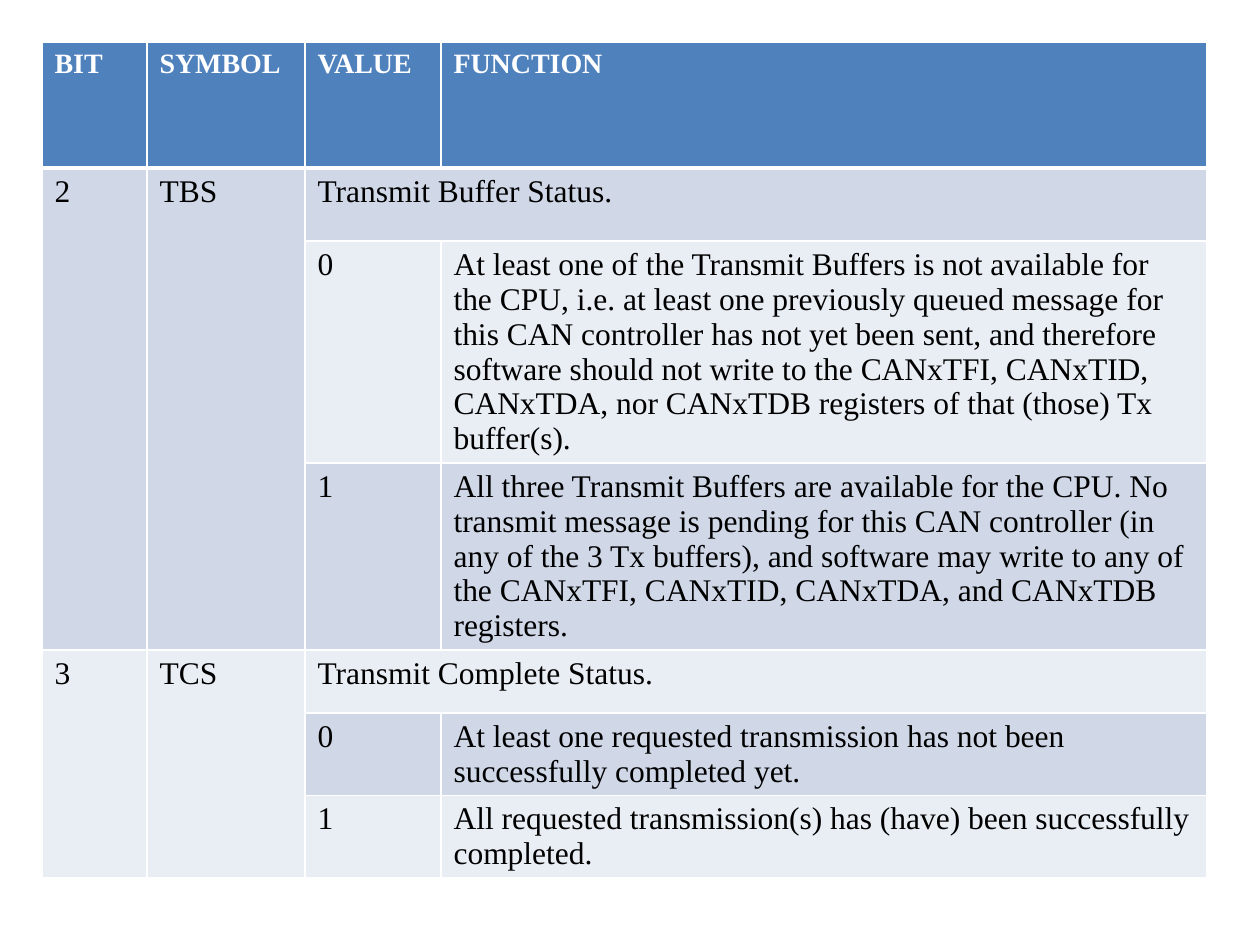
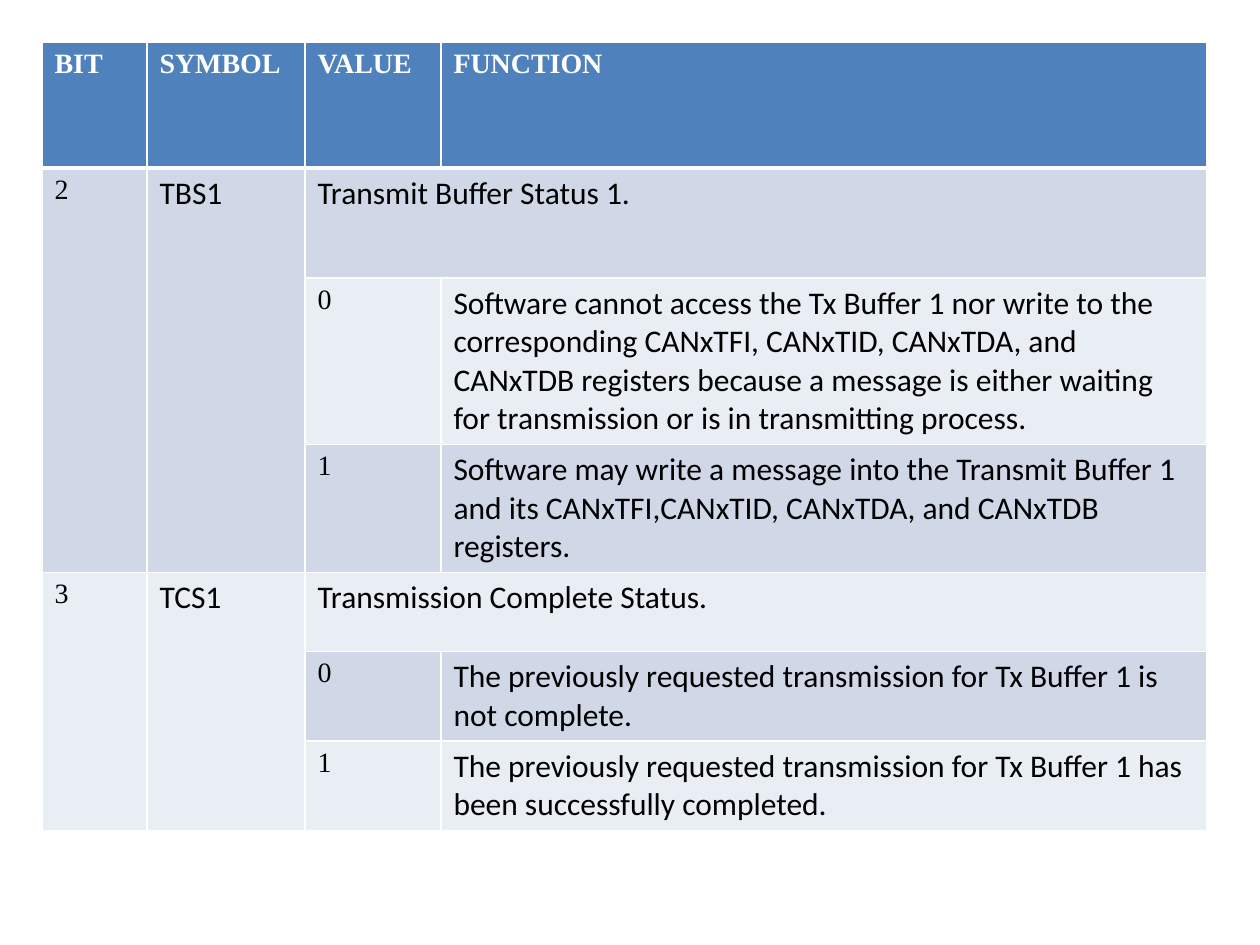
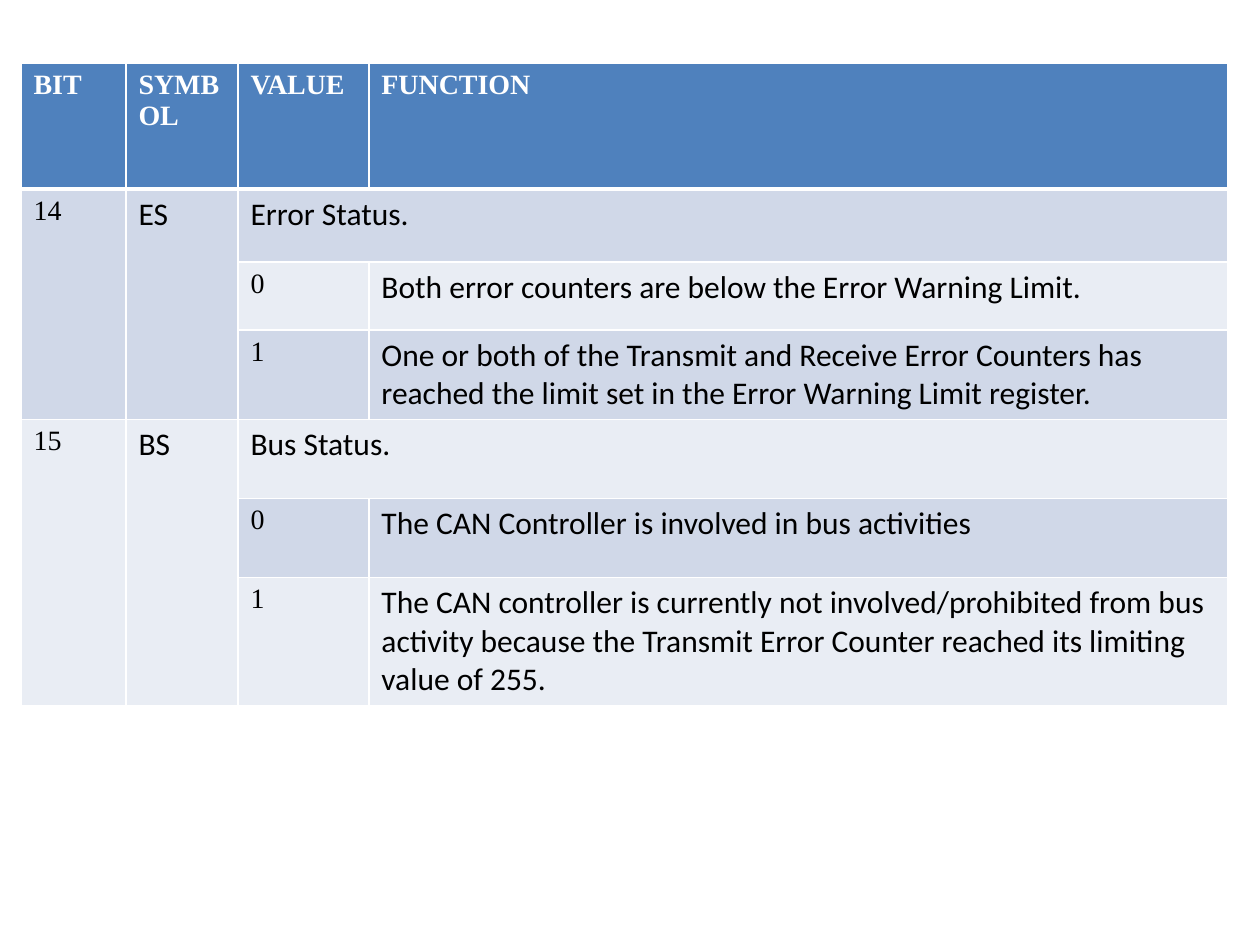
from lxml import etree
from pptx import Presentation
from pptx.dml.color import RGBColor
from pptx.oxml import ns
from pptx.util import Emu, Pt

PX = 914400 / 126

WHITE = RGBColor(0xFF, 0xFF, 0xFF)
BLACK = RGBColor(0x00, 0x00, 0x00)
HEADER_BLUE = RGBColor(0x4F, 0x81, 0xBD)
BAND_DARK = RGBColor(0xD0, 0xD8, 0xE8)
BAND_LIGHT = RGBColor(0xE9, 0xED, 0xF4)

SERIF = ("Times New Roman", 16)
SERIF_LARGE = ("Times New Roman", 18)
SANS = ("Calibri", 18)

HEADINGS = ["BIT", "SYMBOL", "VALUE", "FUNCTION"]
ROWS_PER_BIT = 3

# Each bit: number, symbol, description, function for value 0, function for value 1
TRANSMIT_BITS = [
    ("2", "TBS", "Transmit Buffer Status.",
     "At least one of the Transmit Buffers is not available for the CPU, i.e. at least "
     "one previously queued message for this CAN controller has not yet been sent, and "
     "therefore software should not write to the CANxTFI, CANxTID,\n"
     "CANxTDA, nor CANxTDB registers of that (those) Tx buffer(s).",
     "All three Transmit Buffers are available for the CPU. No transmit message is "
     "pending for this CAN controller (in any of the 3 Tx buffers), and software may "
     "write to any of the CANxTFI, CANxTID, CANxTDA, and CANxTDB registers."),
    ("3", "TCS", "Transmit Complete Status.",
     "At least one requested transmission has not been successfully completed yet.",
     "All requested transmission(s) has (have) been successfully completed."),
]
BUFFER_1_BITS = [
    ("2", "TBS1", "Transmit Buffer Status 1.",
     "Software cannot access the Tx Buffer 1 nor write to the corresponding CANxTFI, "
     "CANxTID, CANxTDA, and CANxTDB registers because a message is either waiting for "
     "transmission or is in transmitting process.",
     "Software may write a message into the Transmit Buffer 1 and its CANxTFI,CANxTID, "
     "CANxTDA, and CANxTDB registers."),
    ("3", "TCS1", "Transmission Complete Status.",
     "The previously requested transmission for Tx Buffer 1 is not complete.",
     "The previously requested transmission for Tx Buffer 1 has been successfully "
     "completed."),
]
ERROR_BITS = [
    ("14", "ES", "Error Status.",
     "Both error counters are below the Error Warning Limit.",
     "One or both of the Transmit and Receive Error Counters has reached the limit set "
     "in the Error Warning Limit register."),
    ("15", "BS", "Bus Status.",
     "The CAN Controller is involved in bus activities",
     "The CAN controller is currently not involved/prohibited from bus activity because "
     "the Transmit Error Counter reached its limiting value of 255."),
]


def px(n):
    return Emu(round(n * PX))


def write(cell, content, font, color=BLACK, bold=False):
    """Fill a cell with text, one paragraph a line."""
    tf = cell.text_frame
    for i, line in enumerate(content.split("\n")):
        p = tf.add_paragraph() if i else tf.paragraphs[0]
        r = p.add_run()
        r.text = line
        r.font.name, size = font
        r.font.size = Pt(size)
        r.font.bold = bold
        r.font.color.rgb = color


def set_borders(cell, widths):
    """Draw white borders; widths are points for left, right, top, bottom."""
    tc_pr = cell._tc.get_or_add_tcPr()
    for i, (side, width) in enumerate(zip("LRTB", widths)):
        ln = etree.Element(ns.qn(f"a:ln{side}"), w=str(Pt(width)))
        fill = etree.SubElement(ln, ns.qn("a:solidFill"))
        etree.SubElement(fill, ns.qn("a:srgbClr"), val=str(WHITE))
        tc_pr.insert(i, ln)


def style_grid(table):
    for i, row in enumerate(table.rows):
        for cell in row.cells:
            cell.fill.solid()
            cell.fill.fore_color.rgb = (
                HEADER_BLUE if i == 0 else BAND_DARK if i % 2 else BAND_LIGHT)
            set_borders(cell, (1, 1, 3 if i == 1 else 1, 3 if i == 0 else 1))


def write_bit(table, top, bit, number_font, text_font):
    """Write one register bit, whose three rows start at row top."""
    number, symbol, description, *functions = bit
    bottom = top + ROWS_PER_BIT - 1
    for col, content, font in ((0, number, number_font), (1, symbol, text_font)):
        table.cell(top, col).merge(table.cell(bottom, col))
        write(table.cell(top, col), content, font)
    table.cell(top, 2).merge(table.cell(top, 3))
    write(table.cell(top, 2), description, text_font)
    for value, function in enumerate(functions):
        row = top + 1 + value
        write(table.cell(row, 2), str(value), number_font)
        write(table.cell(row, 3), function, text_font)


def add_register_slide(prs, bits, box, col_widths, row_heights, number_font, text_font):
    slide = prs.slides.add_slide(prs.slide_layouts[6])
    left, top, width, height = map(px, box)
    frame = slide.shapes.add_table(
        len(row_heights), len(HEADINGS), left, top, width, height)
    table = frame.table
    for column, w in zip(table.columns, col_widths):
        column.width = px(w)
    for row, h in zip(table.rows, row_heights):
        row.height = px(h)
    frame.height = height
    style_grid(table)
    for col, heading in enumerate(HEADINGS):
        write(table.cell(0, col), heading, SERIF, WHITE, bold=True)
    for i, bit in enumerate(bits):
        write_bit(table, 1 + i * ROWS_PER_BIT, bit, number_font, text_font)


def main():
    prs = Presentation()
    prs.slide_width, prs.slide_height = px(1260), px(945)
    wide_symbol = (105, 158, 136, 766)
    narrow_symbol = (105, 112, 131, 859)
    add_register_slide(prs, TRANSMIT_BITS, (42, 42, 1165, 879), wide_symbol,
                       (126, 73, 68, 84, 63, 79, 79), SERIF_LARGE, SERIF_LARGE)
    add_register_slide(prs, BUFFER_1_BITS, (42, 42, 1165, 782), wide_symbol,
                       (126, 110, 68, 84, 79, 79, 79), SERIF, SANS)
    add_register_slide(prs, ERROR_BITS, (21, 63, 1207, 640), narrow_symbol,
                       (126, 73, 68, 84, 79, 79, 79), SERIF, SANS)
    prs.save("out.pptx")


if __name__ == "__main__":
    main()
